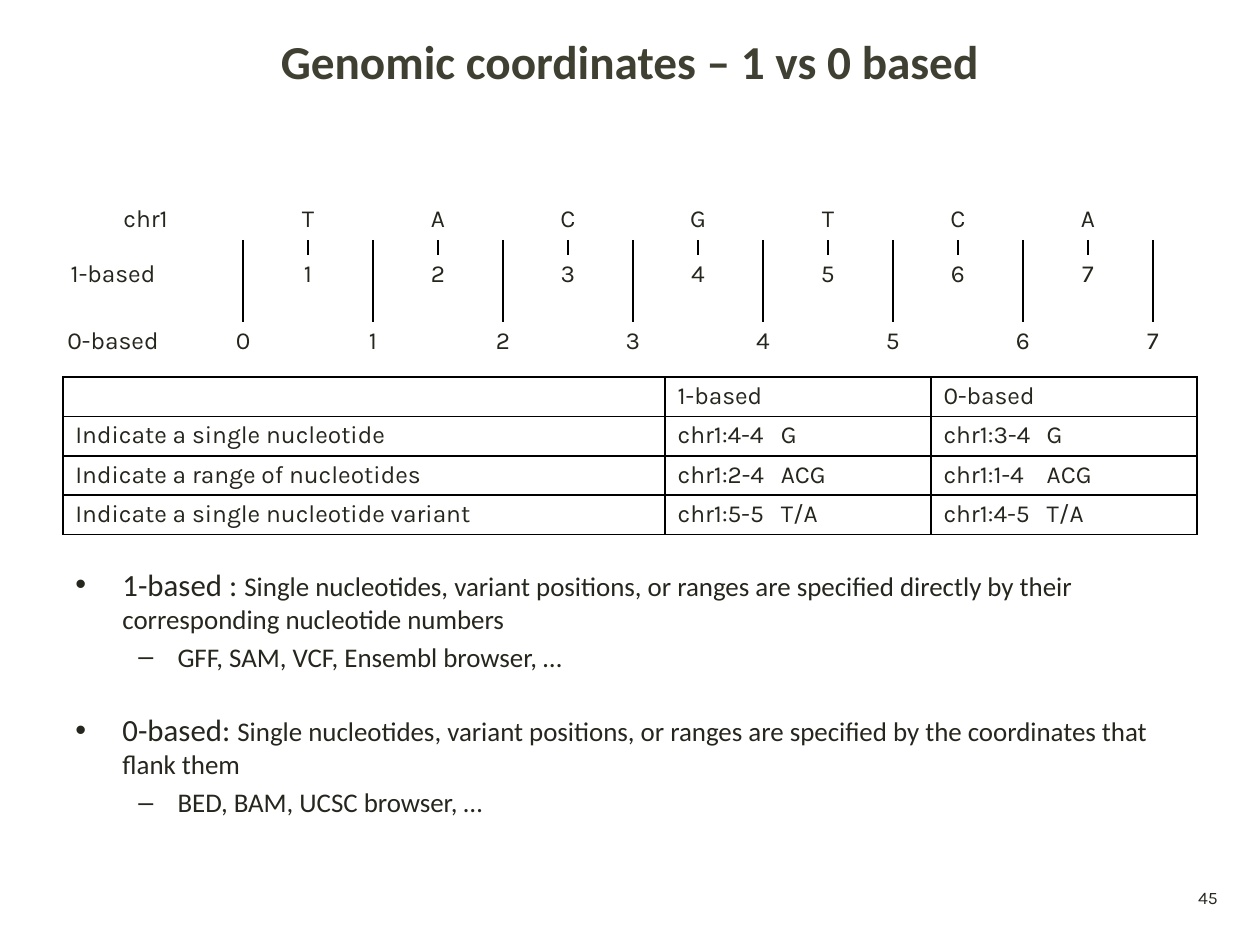
import dataclasses

import lxml.etree
import pptx
import pptx.dml.color
import pptx.enum.text
import pptx.oxml.ns
import pptx.util

Cm = pptx.util.Cm
Pt = pptx.util.Pt
qn = pptx.oxml.ns.qn
ALIGN = pptx.enum.text.PP_ALIGN
MIDDLE = pptx.enum.text.MSO_ANCHOR.MIDDLE


@dataclasses.dataclass(frozen=True)
class Theme:
    heading: str = "3F3F32"
    ink: str = "26261E"
    rule: str = "000000"
    text_face: str = "Calibri"
    data_face: str = "Karla"
    title_size: float = 27
    term_size: float = 17.6
    detail_size: float = 15.4
    data_size: float = 14
    number_size: float = 10
    tick_size: float = 1
    rule_width: float = 1


THEME = Theme()
NO_TABLE_STYLE = "{2D5ABB26-0587-4C30-8999-92F81FD0307C}"
SEQUENCE = "TACGTCA"
COMPARISON = [
    ["", "1-based", "0-based"],
    ["Indicate a single nucleotide", "chr1:4-4\tG", "chr1:3-4\tG"],
    ["Indicate a range of nucleotides", "chr1:2-4\tACG", "chr1:1-4\tACG"],
    ["Indicate a single nucleotide variant", "chr1:5-5\tT/A", "chr1:4-5\tT/A"],
]
CONVENTIONS = [
    ("1-based : ", "Single nucleotides, variant positions, or ranges are specified "
     "directly by their corresponding nucleotide numbers",
     "GFF, SAM, VCF, Ensembl browser, …"),
    ("0-based: ", "Single nucleotides, variant positions, or ranges are specified "
     "by the coordinates that flank them",
     "BED, BAM, UCSC browser, …"),
]


def set_values(target, values):
    for name, value in values.items():
        setattr(target, name, value)


def add_text(paragraph, wording, size, face, color=THEME.ink, bold=False):
    run = paragraph.add_run()
    run.text = wording
    set_values(run.font, {"size": Pt(size), "name": face, "bold": bold})
    run.font.color.rgb = pptx.dml.color.RGBColor.from_string(color)


def add_box(slide, left, top, width, height, **frame_values):
    frame = slide.shapes.add_textbox(Cm(left), Cm(top), Cm(width), Cm(height)).text_frame
    set_values(frame, {"word_wrap": True, **frame_values})
    return frame


def add_grid(slide, left, top, widths, heights):
    frame = slide.shapes.add_table(len(heights), len(widths), Cm(left), Cm(top),
                                   Cm(sum(widths)), Cm(sum(heights)))
    grid = frame.table
    set_values(grid, {"first_row": False, "horz_banding": False})
    next(frame._element.iter(qn("a:tableStyleId"))).text = NO_TABLE_STYLE
    for column, width in zip(grid.columns, widths):
        column.width = Cm(width)
    for row, height in zip(grid.rows, heights):
        row.height = Cm(height)
    return grid


def fill_cell(cell, wording="", sides="", align=ALIGN.LEFT, size=THEME.data_size, pad=0.1):
    set_values(cell, {"margin_left": Cm(0.25), "margin_right": Cm(0.25),
                      "margin_top": Cm(pad), "margin_bottom": Cm(pad)})
    properties = cell._tc.get_or_add_tcPr()
    for side in "LRTB":
        line = lxml.etree.SubElement(properties, qn(f"a:ln{side}"))
        if side in sides:
            line.set("w", str(Pt(THEME.rule_width)))
            paint = lxml.etree.SubElement(line, qn("a:solidFill"))
            lxml.etree.SubElement(paint, qn("a:srgbClr"), val=THEME.rule)
        else:
            line.set("w", "0")
            lxml.etree.SubElement(line, qn("a:noFill"))
    cell.fill.background()
    paragraph = cell.text_frame.paragraphs[0]
    if "\t" in wording:
        stops = lxml.etree.SubElement(paragraph._p.get_or_add_pPr(), qn("a:tabLst"))
        lxml.etree.SubElement(stops, qn("a:tab"), pos=str(Cm(2.08)), algn="l")
    paragraph.alignment = align
    if wording:
        add_text(paragraph, wording, size, THEME.data_face)
    else:
        lxml.etree.SubElement(paragraph._p, qn("a:endParaRPr"), sz=str(int(size * 100)))


def add_ruler(slide):
    bases = len(SEQUENCE)
    last = 2 * bases + 2
    ruler = add_grid(slide, 0.97, 4.04, [2.62] + [1.31] * last, [0.79, 0.3, 1.35, 1.35])
    labels = {(0, 0): "chr1", (2, 0): "1-based", (3, 0): "0-based"}
    pairs = [(0, 0)]
    for index, base in enumerate(SEQUENCE):
        column = 2 * index + 2
        labels[0, column] = base
        labels[2, column] = str(index + 1)
        pairs += [(0, column), (2, column)]
    for boundary in range(bases + 1):
        labels[3, 2 * boundary + 1] = str(boundary)
        pairs.append((3, 2 * boundary + 1))
    for row in range(4):
        for column in range(last + 1):
            sides = ""
            if row == 1 and column:
                sides = {1: "R", last: "L"}.get(column, "LR")
            elif row == 2 and column:
                merged = 1 < column < last
                sides = "LR" if merged else "R" if column == 1 else "L"
            tick_row = row == 1
            fill_cell(ruler.cell(row, column), labels.get((row, column), ""), sides,
                      ALIGN.CENTER, THEME.tick_size if tick_row else THEME.data_size,
                      0 if tick_row else 0.1)
    for row, column in pairs:
        ruler.cell(row, column).merge(ruler.cell(row, column + 1))


def add_comparison(slide):
    comparison = add_grid(slide, 1.27, 7.6, [12.14, 5.36, 5.36], [0.79] * 4)
    for row, wordings in enumerate(COMPARISON):
        for column, wording in enumerate(wordings):
            fill_cell(comparison.cell(row, column), wording, "LRTB")


def set_bullet(paragraph, mark, indent, hang, space):
    properties = paragraph._p.get_or_add_pPr()
    set_values_xml = {"marL": str(Cm(indent)), "indent": str(-Cm(hang))}
    for name, value in set_values_xml.items():
        properties.set(name, value)
    lxml.etree.SubElement(properties, qn("a:buFont"), typeface="Arial")
    lxml.etree.SubElement(properties, qn("a:buChar"), char=mark)
    paragraph.space_before = Pt(space)


def add_conventions(slide):
    frame = add_box(slide, 1.27, 11.28, 22.86, 4.55)
    for index, (term, meaning, formats) in enumerate(CONVENTIONS):
        definition = frame.add_paragraph() if index else frame.paragraphs[0]
        set_bullet(definition, "•", 0.95, 0.95, 22 if index else 0)
        add_text(definition, term, THEME.term_size, THEME.text_face)
        add_text(definition, meaning, THEME.detail_size, THEME.text_face)
        examples = frame.add_paragraph()
        examples.level = 1
        set_bullet(examples, "–", 2.06, 0.79, 3)
        add_text(examples, formats, THEME.detail_size, THEME.text_face)


def add_centered(slide, wording, place, *style):
    frame = add_box(slide, *place, vertical_anchor=MIDDLE, margin_left=0, margin_right=0)
    line = frame.paragraphs[0]
    line.alignment = ALIGN.CENTER
    add_text(line, wording, *style)


def main():
    deck = pptx.Presentation()
    set_values(deck, {"slide_width": Cm(25.4), "slide_height": Cm(19.05)})
    slide = deck.slides.add_slide(deck.slide_layouts[6])
    add_centered(slide, "45", (23.88, 17.75, 0.94, 0.69),
                 THEME.number_size, THEME.data_face)
    add_centered(slide, "Genomic coordinates – 1 vs 0 based", (0.53, 0.58, 24.33, 1.27),
                 THEME.title_size, THEME.text_face, THEME.heading, True)
    add_ruler(slide)
    add_comparison(slide)
    add_conventions(slide)
    deck.save("out.pptx")


if __name__ == "__main__":
    main()
